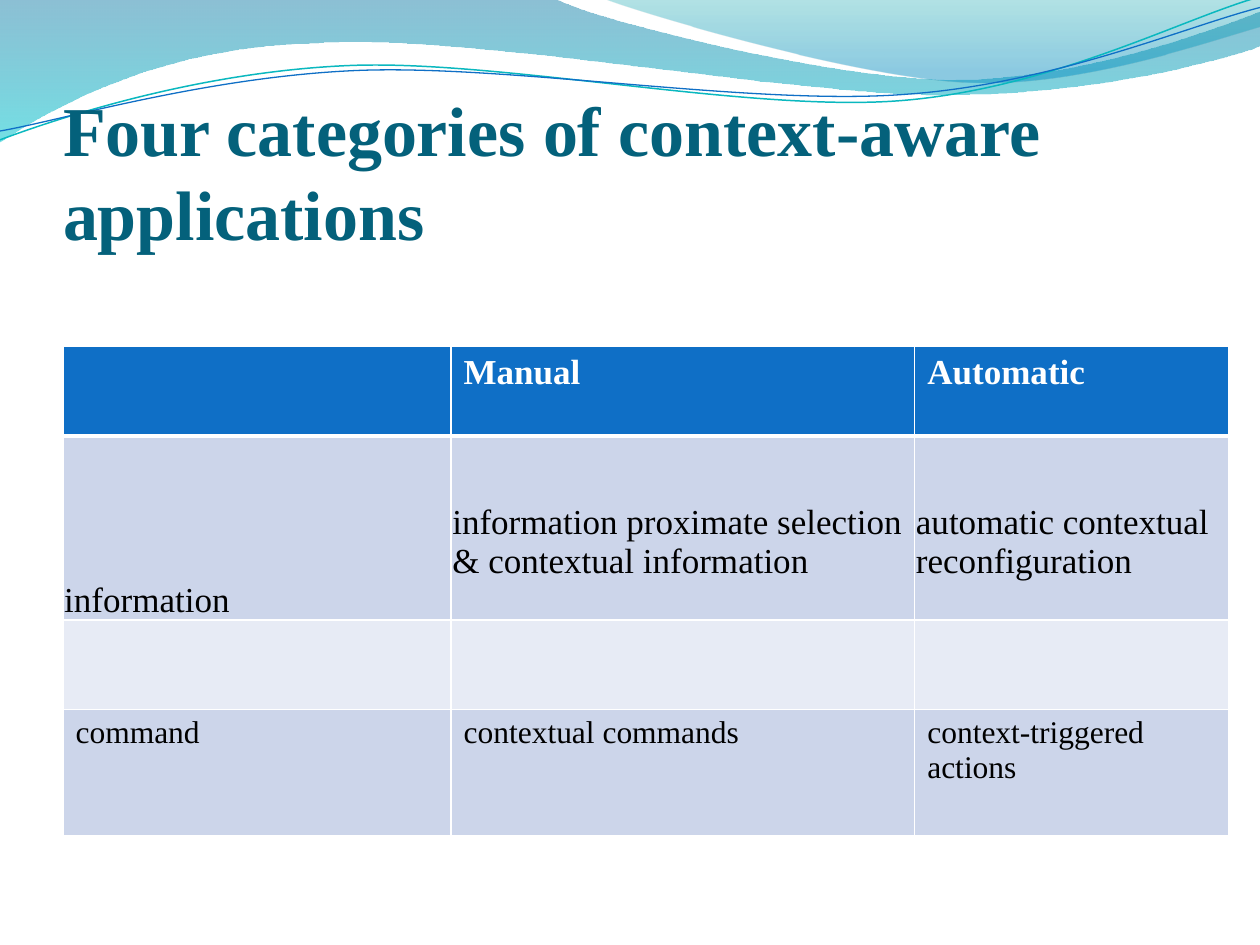
from dataclasses import dataclass
from math import cos, radians, sin

from lxml.etree import SubElement
from pptx import Presentation
from pptx.dml.color import RGBColor as Rgb
from pptx.enum.text import MSO_ANCHOR as Anchor, PP_ALIGN as Align
from pptx.oxml import parse_xml
from pptx.oxml.ns import nsdecls, qn
from pptx.util import Inches, Pt


@dataclass(frozen=True)
class Theme:
    """Colours, font and type sizes of the slide."""
    font: str = "Times New Roman"
    title: str = "04617B"
    header: str = "0F6FC6"
    bands: tuple = ("CCD5EA", "E7EBF5")
    white: str = "FFFFFF"
    body: str = "000000"
    teal_line: str = "0AB8BF"
    blue_line: str = "0F6FC6"
    large_wave: tuple = (("0074A1", 0, 45), ("00C6CF", 100, 55))
    small_wave: tuple = (("00A1A9", 0, 30), ("008BBF", 80, 45))
    title_size: int = 40
    table_size: int = 20
    command_size: int = 18


THEME = Theme()

# Each segment holds one end point, or two control points and an end point.
LARGE_WAVE = [
    (0, 0), (4.4, -0.01), (4.76, 0.17, 6.64, 0.63, 7.58, 0.63),
    (8.53, 0.63, 9.58, 0.26, 10, 0.09), (10.01, 0.36),
    (9.83, 0.44, 8.7, 0.76, 7.46, 0.75), (6.22, 0.75, 3.82, 0.28, 2.57, 0.34),
    (1.29, 0.36, 0.46, 0.83, -0.01, 1.13), (0, 0)]
SMALL_WAVE = [
    (4.79, -0.01), (5.09, 0.11, 6.82, 0.62, 7.69, 0.65),
    (8.56, 0.69, 9.61, 0.32, 10, 0.21), (10, 0), (4.79, -0.01)]
TEAL_CURVE = [
    (0, 1.11), (0.48, 0.93, 1.58, 0.57, 2.77, 0.52),
    (3.95, 0.47, 5.93, 0.89, 7.13, 0.8), (8.33, 0.71, 9.38, 0.15, 9.98, -0.02)]
BLUE_CURVE = [
    (0, 1.04), (0.47, 0.96, 1.64, 0.61, 2.83, 0.56),
    (4.03, 0.51, 5.97, 0.84, 7.17, 0.75), (8.36, 0.67, 9.41, 0.21, 10, 0.06)]
CURVE_TILT = -2.7

COLUMNS = (3.08, 3.68, 2.49)
ROWS = (0.71, 1.46, 0.71, 1.0)
CATEGORIES = (
    ("", "Manual", "Automatic"),
    ("information", "information proximate selection & contextual information",
     "automatic contextual reconfiguration"),
    ("", "", ""),
    ("command", "contextual commands", "context-triggered actions"))


def add_outline(slide, segments, close):
    """Add a freeform of straight and cubic segments, without a shadow."""
    points = [(Inches(x), Inches(y)) for segment in segments
              for x, y in zip(segment[::2], segment[1::2])]
    builder = slide.shapes.build_freeform(*points[0])
    builder.add_line_segments(points[1:], close=close)
    outline = builder.convert_to_shape()
    outline.shadow.inherit = False
    steps = iter(list(outline.element.iter(qn("a:lnTo"))))
    for segment in segments[1:]:
        step = next(steps)
        if len(segment) == 6:
            bend = parse_xml(f'<a:cubicBezTo {nsdecls("a")}/>')
            step.addprevious(bend)
            for part in (step, next(steps), next(steps)):
                bend.append(part[0])
                part.getparent().remove(part)
    return outline


def add_wave(slide, segments, stops):
    """Add a closed wave with a see-through vertical gradient."""
    wave = add_outline(slide, segments, True)
    wave.line.fill.background()
    wave.fill.gradient()
    wave.fill.gradient_angle = 270
    for stop, (color, position, _) in zip(wave.fill.gradient_stops, stops):
        stop.color.rgb = Rgb.from_string(color)
        stop.position = position / 100
    for tint, (_, _, opacity) in zip(wave.element.iter(qn("a:srgbClr")), stops):
        SubElement(tint, qn("a:alpha"), val=str(opacity * 1000))


def turn(segment, center, degrees):
    """Turn the points of a segment clockwise about a center."""
    angle = radians(degrees)
    turned = []
    for x, y in zip(segment[::2], segment[1::2]):
        dx, dy = x - center[0], y - center[1]
        turned += [center[0] + dx * cos(angle) - dy * sin(angle),
                   center[1] + dx * sin(angle) + dy * cos(angle)]
    return turned


def add_curve(slide, segments, center, color, width):
    """Add an open curve that is tilted about its center."""
    level = [turn(segment, center, -CURVE_TILT) for segment in segments]
    curve = add_outline(slide, level, False)
    curve.rotation = CURVE_TILT
    curve.fill.background()
    curve.line.color.rgb = Rgb.from_string(color)
    curve.line.width = Pt(width)


def style_text(paragraph, size, color, bold):
    """Format all runs of a paragraph."""
    for run in paragraph.runs:
        run.font.name = THEME.font
        run.font.size = Pt(size)
        run.font.bold = bold
        run.font.color.rgb = Rgb.from_string(color)


def set_margins(target, left, top, right, bottom):
    """Set the inner margins of a text frame or cell."""
    target.margin_left, target.margin_top = Inches(left), Inches(top)
    target.margin_right, target.margin_bottom = Inches(right), Inches(bottom)


def place_title(slide, wording):
    """Fill the title placeholder and bring it in front of the waves."""
    title = slide.shapes.title
    title.left, title.top = Inches(0.5), Inches(0.77)
    title.width, title.height = Inches(9), Inches(1.25)
    frame = title.text_frame
    frame.text = wording
    frame.word_wrap = True
    frame.vertical_anchor = Anchor.BOTTOM
    set_margins(frame, 0, 0.05, 0, 0)
    heading = frame.paragraphs[0]
    heading.alignment = Align.LEFT
    style_text(heading, THEME.title_size, THEME.title, True)
    slide.shapes.element.append(title.element)


def set_borders(cell, top, bottom):
    """Give a cell white borders; top and bottom widths are in points."""
    properties = cell._tc.get_or_add_tcPr()
    widths = {"lnL": 1, "lnR": 1, "lnT": top, "lnB": bottom}
    for index, (side, width) in enumerate(widths.items()):
        properties.insert(index, parse_xml(
            f'<a:{side} {nsdecls("a")} w="{Pt(width)}"><a:solidFill>'
            f'<a:srgbClr val="{THEME.white}"/></a:solidFill></a:{side}>'))


def fill_cell(cell, row, column):
    """Write and format one cell according to its row."""
    header = row == 0
    cell.text = CATEGORIES[row][column]
    cell.fill.solid()
    color = THEME.header if header else THEME.bands[(row - 1) % 2]
    cell.fill.fore_color.rgb = Rgb.from_string(color)
    set_borders(cell, 3 if row == 1 else 1, 3 if header else 1)
    if row == 1:
        cell.vertical_anchor = Anchor.BOTTOM
        set_margins(cell, 0.01, 0.01, 0.01, 0.31 if column else 0)
    size = THEME.command_size if row == 3 else THEME.table_size
    style_text(cell.text_frame.paragraphs[0], size,
               THEME.white if header else THEME.body, header)


def add_categories(slide):
    """Add the table of application categories."""
    table = slide.shapes.add_table(
        len(ROWS), len(COLUMNS), Inches(0.5), Inches(2.75),
        Inches(sum(COLUMNS)), Inches(sum(ROWS))).table
    for column, width in zip(table.columns, COLUMNS):
        column.width = Inches(width)
    for row, height in enumerate(ROWS):
        table.rows[row].height = Inches(height)
        for column in range(len(COLUMNS)):
            fill_cell(table.cell(row, column), row, column)


def main():
    """Build and save the slide."""
    deck = Presentation()
    deck.slide_width, deck.slide_height = Inches(10), Inches(7.5)
    slide = deck.slides.add_slide(deck.slide_layouts[5])
    add_wave(slide, LARGE_WAVE, THEME.large_wave)
    add_wave(slide, SMALL_WAVE, THEME.small_wave)
    add_curve(slide, TEAL_CURVE, (4.99, 0.58), THEME.teal_line, 0.85)
    add_curve(slide, BLUE_CURVE, (5, 0.59), THEME.blue_line, 0.75)
    place_title(slide, "Four categories of context-aware applications")
    add_categories(slide)
    deck.save("out.pptx")


main()
